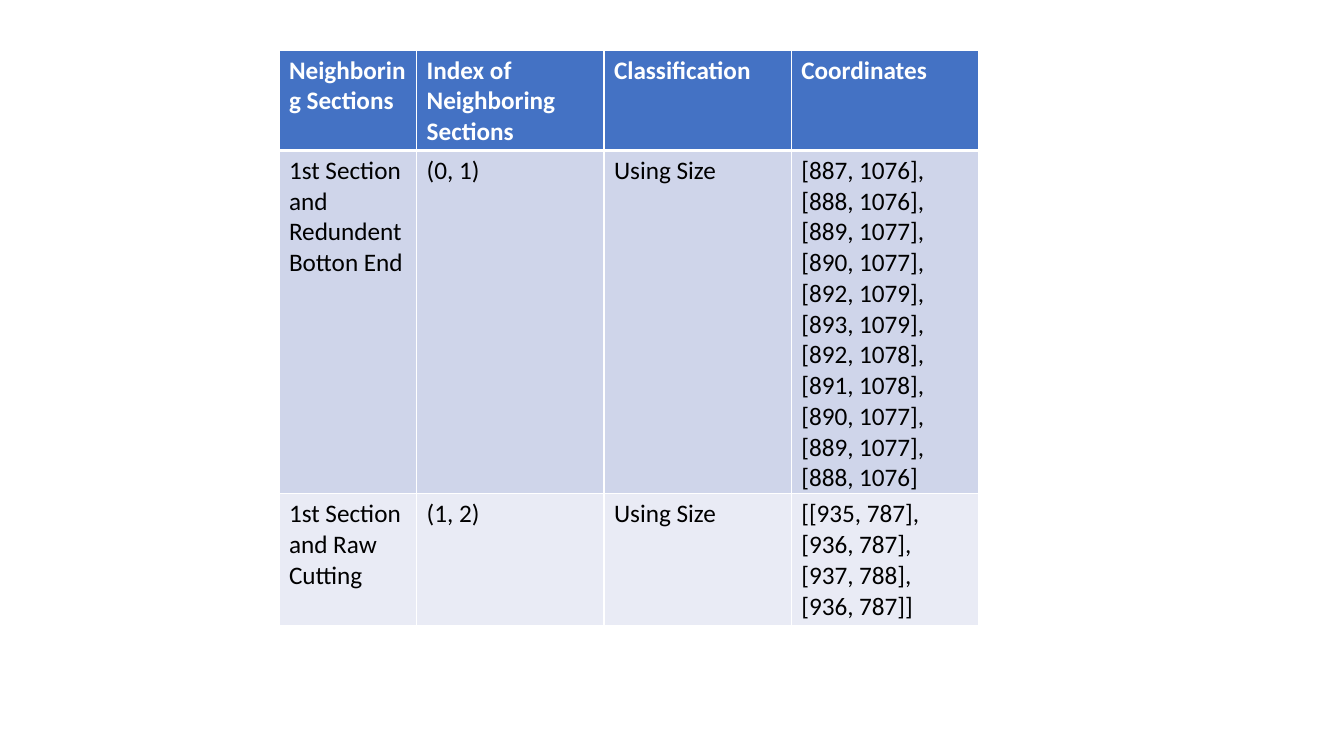
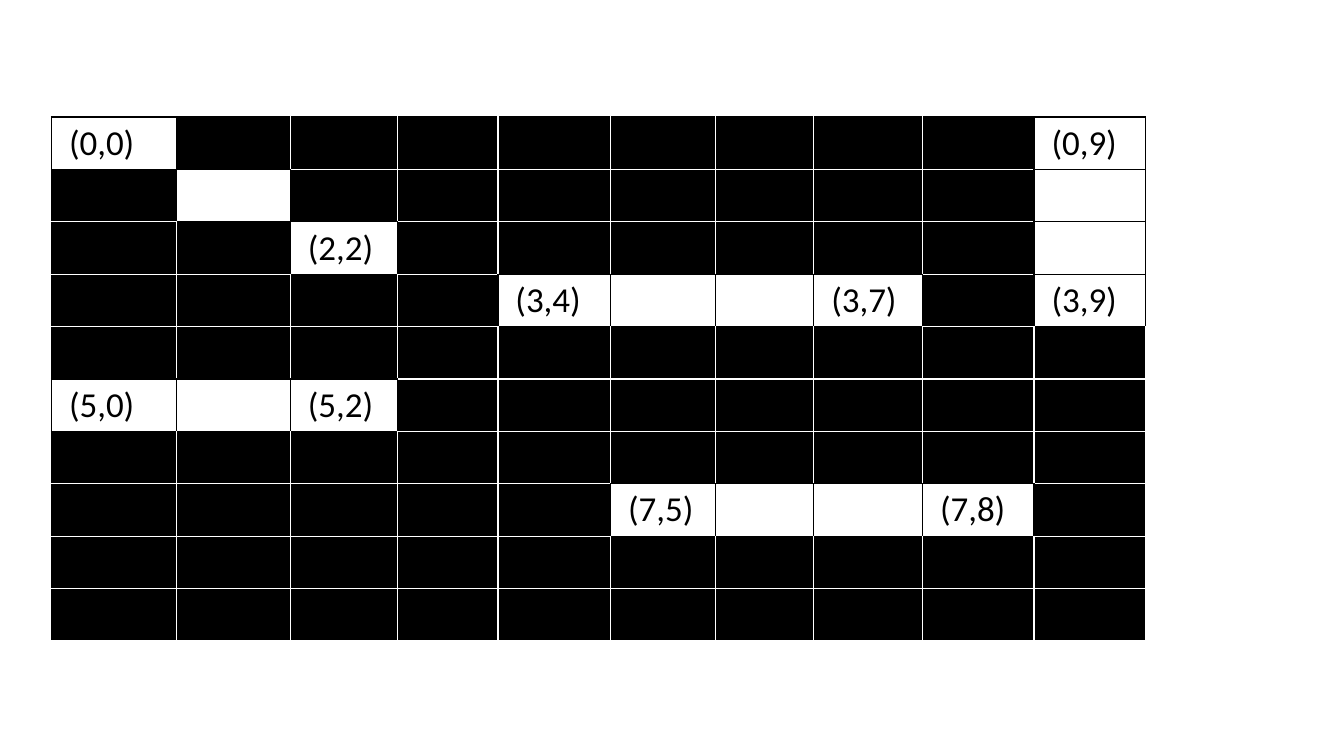
from lxml import etree
from pptx import Presentation
from pptx.dml.color import RGBColor
from pptx.oxml.ns import qn
from pptx.util import Cm, Pt

FONT = "Calibri"
BLACK, WHITE = "000000", "FFFFFF"
HEADER_BLUE, BAND_DARK, BAND_LIGHT = "4472C4", "CFD5EA", "E9EBF5"


def rgb(value):
    return RGBColor.from_string(value)


def style_cell(cell, fill, borders, text, size, color):
    properties = cell._tc.get_or_add_tcPr()
    for side in "LRTB":
        border_color, width = borders[side]
        line = etree.SubElement(properties, qn(f"a:ln{side}"), w=str(Pt(width)))
        solid = etree.SubElement(line, qn("a:solidFill"))
        etree.SubElement(solid, qn("a:srgbClr"), val=border_color)
    cell.fill.solid()
    cell.fill.fore_color.rgb = rgb(fill)
    cell.text = text
    paragraph = cell.text_frame.paragraphs[0]
    paragraph.font.name = FONT
    paragraph.font.size = Pt(size)
    paragraph.font.color.rgb = rgb(color)
    return paragraph


presentation = Presentation()
presentation.slide_width = Cm(33.87)
presentation.slide_height = Cm(19.05)
blank_layout = presentation.slide_layouts[6]

section_rows = [
    ["Neighboring Sections", "Index of Neighboring Sections", "Classification", "Coordinates"],
    ["1st Section and Redundent Botton End", "(0, 1)", "Using Size",
     "[887, 1076], [888, 1076], [889, 1077], [890, 1077], [892, 1079], [893, 1079], "
     "[892, 1078], [891, 1078], [890, 1077], [889, 1077], [888, 1076]"],
    ["1st Section and Raw Cutting", "(1, 2)", "Using Size",
     "[[935, 787], [936, 787], [937, 788], [936, 787]]"],
]
section_widths = [3.47, 4.72, 4.72, 4.72]
section_heights = [2.53, 8.64, 3.31]
section_fills = [HEADER_BLUE, BAND_DARK, BAND_LIGHT]

slide = presentation.slides.add_slide(blank_layout)
table = slide.shapes.add_table(
    len(section_rows), len(section_widths), Cm(7.03), Cm(1.26),
    Cm(sum(section_widths)), Cm(sum(section_heights))).table
for column, width in zip(table.columns, section_widths):
    column.width = Cm(width)
for row_index, texts in enumerate(section_rows):
    table.rows[row_index].height = Cm(section_heights[row_index])
    is_header = row_index == 0
    borders = {side: (WHITE, 1) for side in "LRTB"}
    if is_header:
        borders["B"] = (WHITE, 3)
    elif row_index == 1:
        borders["T"] = (WHITE, 3)
    for column_index, text in enumerate(texts):
        cell = table.cell(row_index, column_index)
        paragraph = style_cell(cell, section_fills[row_index], borders, text, 18,
                               WHITE if is_header else BLACK)
        paragraph.font.bold = is_header
        cell.margin_bottom = 0

pixel_widths = [3.15, 2.87, 2.69, 2.54, 2.84, 2.64, 2.48, 2.74, 2.81, 2.81]
pixel_height = 1.32
pixel_rows = 10
white_runs = [
    [(0, 0), (1, 1), (2, 2)],
    [(row, 9) for row in range(4)],
    [(3, column) for column in range(4, 8)],
    [(5, column) for column in range(3)],
    [(7, column) for column in range(5, 9)],
]
white_pixels = {pixel for run in white_runs for pixel in run}
labels = {run[end]: "({},{})".format(*run[end]) for run in white_runs for end in (0, -1)}

slide = presentation.slides.add_slide(blank_layout)
table = slide.shapes.add_table(
    pixel_rows, len(pixel_widths), Cm(1.3), Cm(2.95),
    Cm(sum(pixel_widths)), Cm(pixel_height * pixel_rows)).table
for column, width in zip(table.columns, pixel_widths):
    column.width = Cm(width)
for row_index in range(pixel_rows):
    table.rows[row_index].height = Cm(pixel_height)
    for column_index in range(len(pixel_widths)):
        pixel = (row_index, column_index)
        neighbors = {
            "L": (row_index, column_index - 1), "R": (row_index, column_index + 1),
            "T": (row_index - 1, column_index), "B": (row_index + 1, column_index),
        }
        borders = {}
        for side, neighbor in neighbors.items():
            is_dark = bool(white_pixels & {pixel, neighbor}) or min(neighbor) < 0
            borders[side] = (BLACK if is_dark else WHITE, 1)
        cell = table.cell(row_index, column_index)
        fill = WHITE if pixel in white_pixels else BLACK
        is_label = pixel in labels
        paragraph = style_cell(cell, fill, borders, labels.get(pixel, ""),
                               25 if is_label else 18, BLACK)
        if is_label:
            paragraph.line_spacing = 1.07
            cell.margin_left = cell.margin_right = Cm(0.44)
            cell.margin_top, cell.margin_bottom = Cm(0.05), 0

presentation.save("out.pptx")
